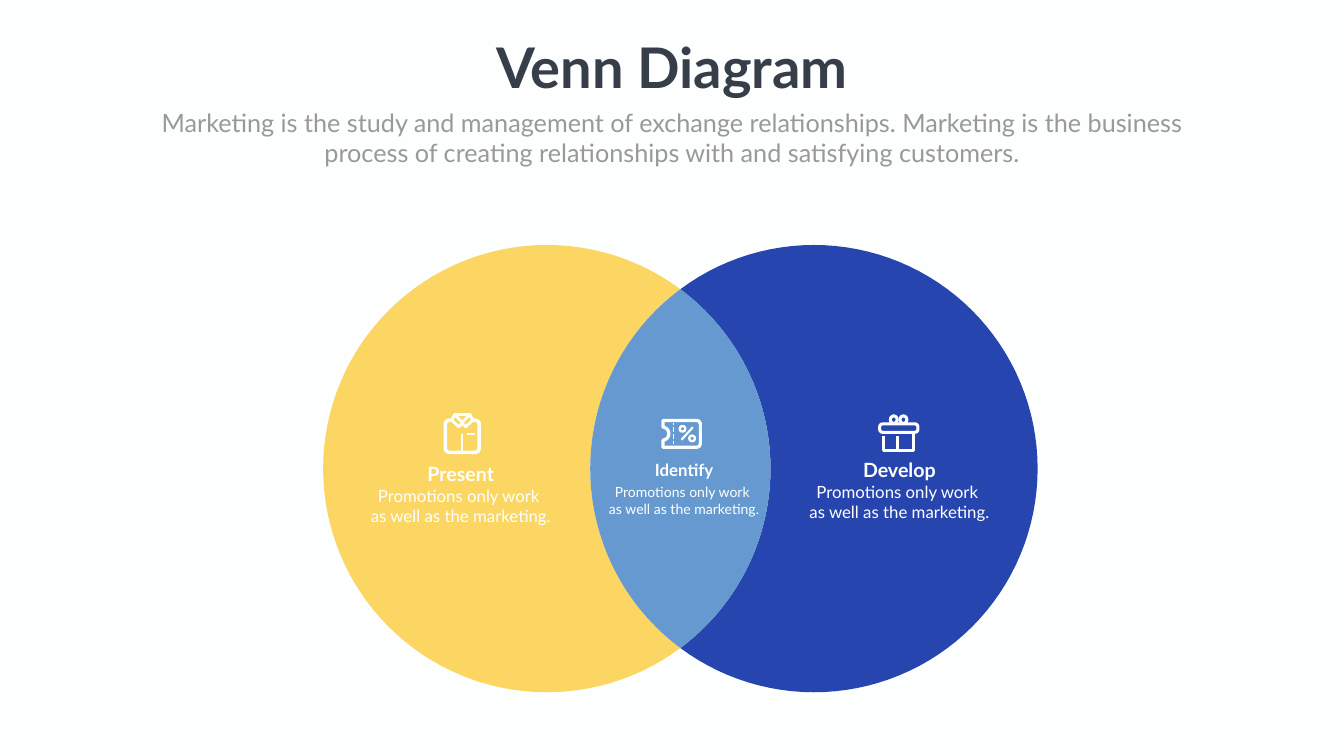
import math

from lxml import etree
from pptx import Presentation
from pptx import util as u
from pptx.dml import color as c
from pptx.enum import shapes as s, text as t
from pptx.oxml import ns

NAVY_GREY, GREY, WHITE = "353E49", "989998", "FDFFFE"
YELLOW, BLUE, SKY = "FBD662", "2645AE", "6599CF"


def rgb(hex_code):
    return c.RGBColor.from_string(hex_code)


def apply(target, values):
    for name, value in values.items():
        setattr(target, name, value)


def place(part, box):
    apply(part, dict(zip(("left", "top", "width", "height"), map(u.Pt, box))))


def write(holder, lines, size, colour, bold=False, wrap=True):
    frame = holder.text_frame
    apply(frame, {"auto_size": t.MSO_AUTO_SIZE.NONE, "word_wrap": wrap,
                  "vertical_anchor": t.MSO_ANCHOR.TOP})
    frame.text = "\n".join(lines)
    for paragraph in frame.paragraphs:
        apply(paragraph, {"alignment": t.PP_ALIGN.CENTER, "space_before": u.Pt(0)})
        apply(paragraph.font, {"name": "Lato", "size": u.Pt(size), "bold": bold})
        paragraph.font.color.rgb = rgb(colour)


def fill_only(part, colour):
    part.shadow.inherit = False
    part.fill.solid()
    part.fill.fore_color.rgb = rgb(colour)
    part.line.fill.background()


def stroke_only(part, weight):
    part.shadow.inherit = False
    part.fill.background()
    part.line.color.rgb = rgb(WHITE)
    part.line.width = u.Pt(weight)


def outline(slide, origin, points, closed=True):
    corners = [(u.Pt(origin[0] + x), u.Pt(origin[1] + y)) for x, y in points]
    builder = slide.shapes.build_freeform(*corners[0], scale=1.0)
    builder.add_line_segments(corners[1:], close=closed)
    return builder.convert_to_shape()


def ring(slide, origin, kind, box, weight):
    x, y, width, height = box
    part = slide.shapes.add_shape(kind, *map(u.Pt, (origin[0] + x, origin[1] + y, width, height)))
    stroke_only(part, weight)
    return part


def stroke(slide, origin, start, end, weight):
    ends = [u.Pt(o + d) for point in (start, end) for o, d in zip(origin, point)]
    line = slide.shapes.add_connector(s.MSO_CONNECTOR.STRAIGHT, *ends)
    line.line.color.rgb = rgb(WHITE)
    line.line.width = u.Pt(weight)
    etree.SubElement(line._element.spPr, ns.qn("a:effectLst"))


def arc(centre, radius, start, end, steps=90):
    angles = [math.radians(start + (end - start) * i / steps) for i in range(steps + 1)]
    return [(centre[0] + radius * math.cos(a), centre[1] + radius * math.sin(a)) for a in angles]


def venn(slide, box):
    left, top, width, height = box
    radius = height / 2
    present, develop = (radius, radius), (width - radius, radius)
    cut = math.degrees(math.acos((width / 2 - radius) / radius))
    present_inner = arc(develop, radius, 180 + cut, 180 - cut)
    develop_inner = arc(present, radius, cut, -cut)
    regions = (
        (arc(present, radius, cut, 360 - cut) + present_inner, YELLOW),
        (arc(develop, radius, 180 - cut, cut - 180) + develop_inner[::-1], BLUE),
        (present_inner + develop_inner, SKY),
    )
    for points, colour in regions:
        fill_only(outline(slide, (left, top), points), colour)


def shirt(slide, origin):
    torso = [(11.5, 10.5), (8, 10.5), (4, 12), (2.5, 15.5), (2.5, 52), (4, 55),
             (8, 56.5)]
    torso += [(53.3 - x, y) for x, y in reversed(torso)]
    stroke_only(outline(slide, origin, torso, closed=False), 5)
    collar = [(37.5, 2.5), (41.7, 10.5), (31.7, 20), (26, 14.4)]
    for flap in (collar, [(53.3 - x, y) for x, y in collar]):
        stroke_only(outline(slide, origin, flap), 4)
    for start, end, weight in (((15, 2.6), (39, 2.6), 5),
                               ((34, 30.6), (44.6, 30.6), 3.6),
                               ((26.3, 30), (26.3, 56), 3.6)):
        stroke(slide, origin, start, end, weight)


def ticket(slide, origin):
    edge = [(2.3, 2.3), (50.5, 2.3), (54, 3.5), (55.7, 7), (55.7, 36), (54, 39.5),
            (50.5, 40.7), (2.3, 40.7)]
    edge += arc((1.3, 21.2), 9.4, 84, -84, 16)
    stroke_only(outline(slide, origin, edge), 4.6)
    for top, bottom in ((5.8, 8.6), (12.2, 19.4), (22.3, 29.5), (32.4, 36.7)):
        stroke(slide, origin, (17.6, top), (17.6, bottom), 2.2)
    stroke(slide, origin, (28.7, 30), (45, 12), 3)
    for x, y in ((26.2, 10.3), (39.9, 24)):
        ring(slide, origin, s.MSO_SHAPE.OVAL, (x, y, 8, 8), 3.4)


def gift(slide, origin):
    for x in (17.4, 31.2):
        ring(slide, origin, s.MSO_SHAPE.OVAL, (x, 2.3, 9.8, 10.8), 4.4)
    lid = ring(slide, origin, s.MSO_SHAPE.ROUNDED_RECTANGLE, (2.2, 13.7, 54.6, 12.1), 4.4)
    lid.adjustments[0] = 0.35
    chest = [(7.2, 31), (7.2, 51.8), (51.1, 51.8), (51.1, 26)]
    stroke_only(outline(slide, origin, chest, closed=False), 4.4)
    stroke(slide, origin, (28.1, 30.5), (28.1, 51), 4.4)


def label(slide, centre, top, heading, heading_size, body_size):
    parts = (([heading], 178.6, 0, heading_size, True),
             (["Promotions only work ", "as well as the marketing."], 317.5, 33.8, body_size, False))
    for lines, width, offset, size, bold in parts:
        box = (centre - width / 2, top + offset, width, len(lines) * size * 1.2 + 7.2)
        write(slide.shapes.add_textbox(*map(u.Pt, box)), lines, size, WHITE, bold)


def header(slide, box):
    left, top, width, height = box
    title, subtitle = slide.shapes.title, slide.placeholders[1]
    place(title, (left + (width - 532) / 2, top, 532, 104))
    place(subtitle, (left, top + 107.3, width, height - 107.3))
    write(title, ["Venn Diagram"], 80, NAVY_GREY, bold=True, wrap=False)
    write(subtitle, ["Marketing is the study and management of exchange relationships. "
                     "Marketing is the business process of creating relationships with "
                     "and satisfying customers."], 36, GREY)


def main():
    deck = Presentation()
    apply(deck, {"slide_width": u.Pt(1919.52), "slide_height": u.Pt(1080)})
    slide = deck.slides.add_slide(deck.slide_layouts[0])
    slide.background.fill.solid()
    slide.background.fill.fore_color.rgb = rgb(WHITE)
    venn(slide, (461.5, 350, 1020.5, 639))
    shirt(slide, (633.6, 589.7))
    ticket(slide, (944.6, 598.3))
    gift(slide, (1254.2, 591.8))
    label(slide, 658.1, 656, "Present", 28, 24)
    label(slide, 977, 653, "Identify", 24, 20)
    label(slide, 1284.5, 651, "Develop", 28, 24)
    header(slide, (210.2, 42.5, 1499, 201.6))
    deck.save("out.pptx")


if __name__ == "__main__":
    main()
